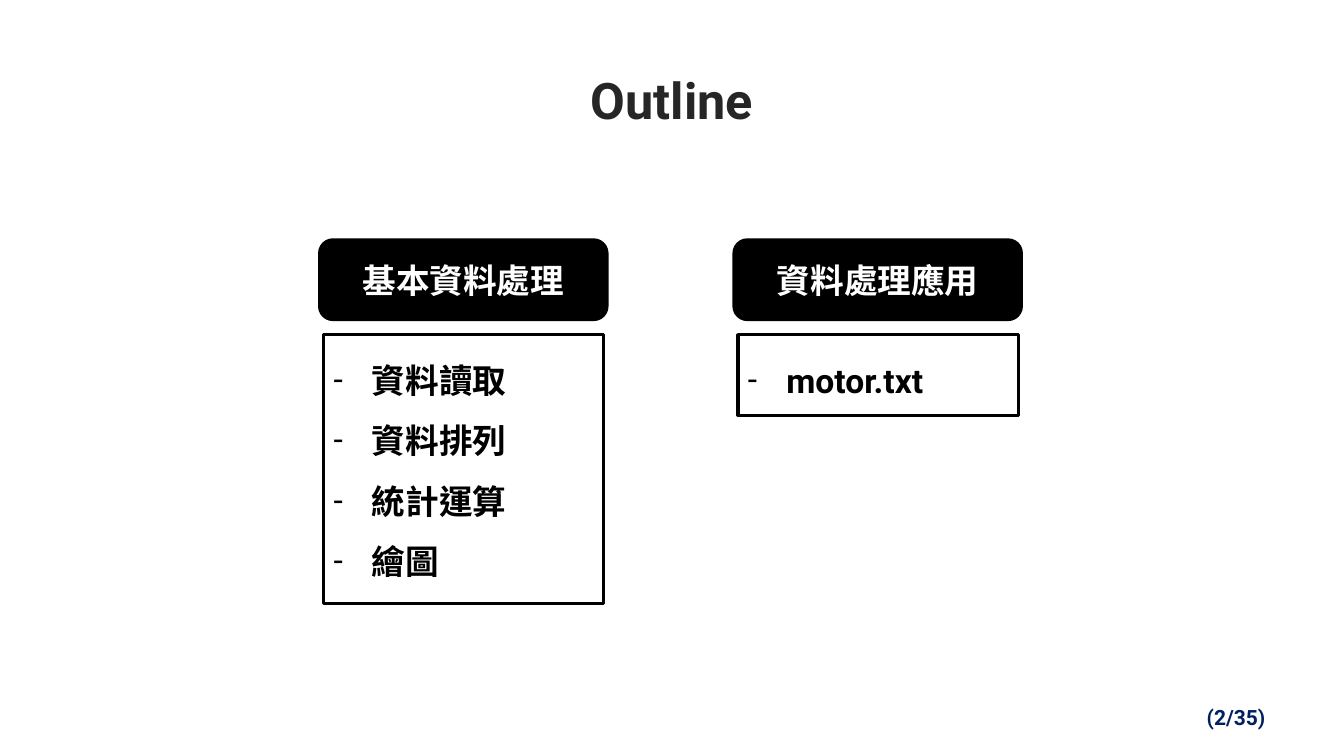
"""Build the outline slide with two topic columns."""
import pptx
import pptx.util
import pptx.dml.color
import pptx.enum.lang
import pptx.enum.shapes
import pptx.enum.text
import pptx.oxml.ns
import lxml.etree

Inches = pptx.util.Inches
Pt = pptx.util.Pt
SHAPES = pptx.enum.shapes.MSO_SHAPE
ALIGN = pptx.enum.text.PP_ALIGN
ANCHOR = pptx.enum.text.MSO_ANCHOR
qn = pptx.oxml.ns.qn

FONT = "Roboto"
TITLE = "Outline"
PAGE_LABEL = "(2/35)"
COLUMNS = [
    ("基本資料處理", ["資料讀取", "資料排列", "統計運算", "繪圖"], 2.67),
    ("資料處理應用", ["motor.txt"], 0.8),
]
FIRST_LEFT, COLUMN_STEP = 3.17, 4.11
HEADER_TOP, HEADER_WIDTH, HEADER_HEIGHT = 2.38, 2.85, 0.79
LIST_TOP, LIST_WIDTH, LIST_INSET = 3.32, 2.78, 0.04
LIST_INDENT = 0.38


def color(value):
    return pptx.dml.color.RGBColor.from_string(value)


def write(shape, lines, size, text_color, align, anchor):
    frame = shape.text_frame
    frame.text = "\n".join(lines)
    frame.word_wrap = True
    frame.vertical_anchor = anchor
    for para in frame.paragraphs:
        para.alignment = align
        for span in para.runs:
            span.font.name = FONT
            span.font.size = Pt(size)
            span.font.bold = True
            span.font.color.rgb = color(text_color)
            span.font.language_id = pptx.enum.lang.MSO_LANGUAGE_ID.TRADITIONAL_CHINESE
            lxml.etree.SubElement(span.font._element, qn("a:ea"), typeface=FONT)


def add_box(page, kind, left, top, width, height, fill):
    box = page.shapes.add_shape(
        kind, Inches(left), Inches(top), Inches(width), Inches(height))
    box.shadow.inherit = False
    box.fill.solid()
    box.fill.fore_color.rgb = color(fill)
    box.line.color.rgb = color("000000")
    box.line.width = Pt(2.25)
    return box


def add_dashes(box):
    for para in box.text_frame.paragraphs:
        para.line_spacing = 1.5
        properties = para._p.get_or_add_pPr()
        properties.set("marL", str(Inches(LIST_INDENT)))
        properties.set("indent", str(-Inches(LIST_INDENT)))
        lxml.etree.SubElement(properties, qn("a:buFont"), typeface=FONT)
        lxml.etree.SubElement(properties, qn("a:buChar"), char="-")


def add_column(page, left, heading, items, list_height):
    header = add_box(page, SHAPES.ROUNDED_RECTANGLE, left, HEADER_TOP,
                     HEADER_WIDTH, HEADER_HEIGHT, "000000")
    write(header, [heading], 24, "FFFFFF", ALIGN.CENTER, ANCHOR.MIDDLE)
    listing = add_box(page, SHAPES.RECTANGLE, left + LIST_INSET, LIST_TOP,
                      LIST_WIDTH, list_height, "FFFFFF")
    write(listing, items, 24, "000000", ALIGN.LEFT, ANCHOR.TOP)
    add_dashes(listing)


def main():
    deck = pptx.Presentation()
    deck.slide_width, deck.slide_height = Inches(13.33), Inches(7.5)
    page = deck.slides.add_slide(deck.slide_layouts[5])

    title = page.shapes.title
    title.left, title.top = Inches(0.76), Inches(0.36)
    title.width, title.height = Inches(11.81), Inches(1.25)
    write(title, [TITLE], 36, "262626", ALIGN.CENTER, ANCHOR.MIDDLE)

    number = page.shapes.add_textbox(
        Inches(11.87), Inches(6.94), Inches(1.13), Inches(0.35))
    write(number, [PAGE_LABEL], 15, "002060", ALIGN.LEFT, ANCHOR.TOP)

    for index, (heading, items, list_height) in enumerate(COLUMNS):
        left = FIRST_LEFT + index * COLUMN_STEP
        add_column(page, left, heading, items, list_height)

    deck.save("out.pptx")


if __name__ == "__main__":
    main()
